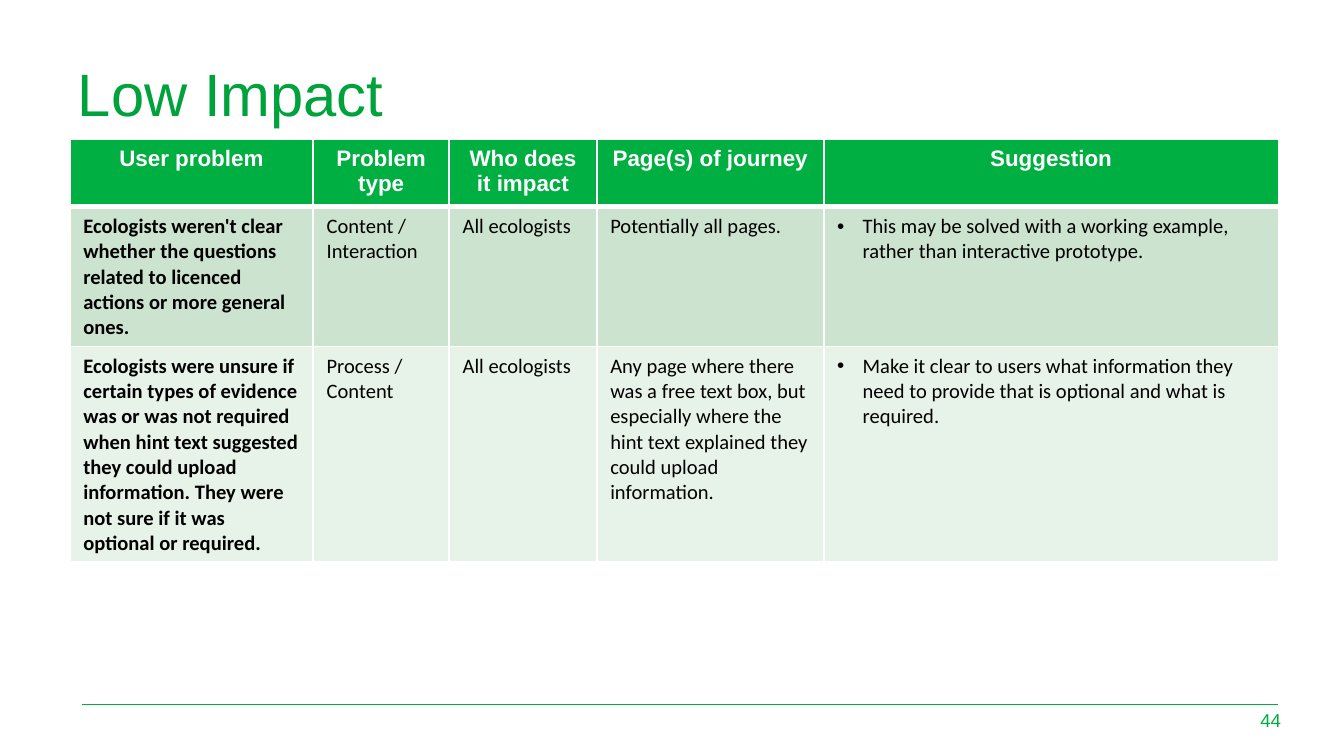
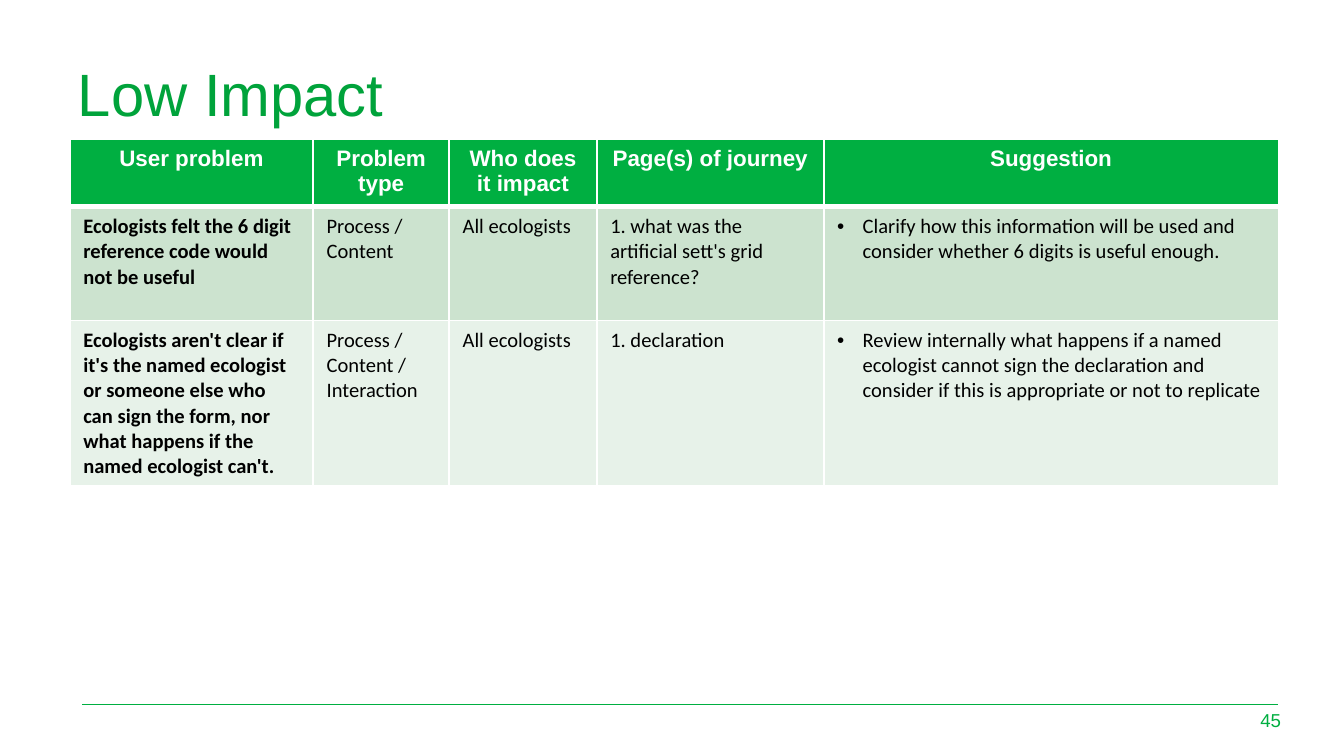
from pptx import Presentation, util as u
from pptx.dml.color import RGBColor
from pptx.enum import shapes, text
from pptx.oxml.ns import qn
from lxml import etree

COLOURS = {
    "title": "00A33B",
    "brand": "00AF41",
    "white": "FFFFFF",
    "body": "000000",
    "band_dark": "CCE3CF",
    "band_light": "E7F2E9",
}
TITLE_BOX = (1.22, 0.97, 22.96, 1.02)
TABLE_BOX = (1.32, 2.64, 22.84)
FOOTER_BOX = (1.55, 13.31, 22.61)
COLUMN_WIDTHS = (4.6, 2.57, 2.79, 4.29, 8.59)
HEADINGS = ("User problem", "Problem type", "Who does it impact", "Page(s) of journey", "Suggestion")
HEADER_HEIGHT = 1.22
SUGGESTION_INDENT = 0.48

SLIDES = [
    {
        "number": 44,
        "row_heights": (2.64, 4.06),
        "rows": [
            ("Ecologists weren't clear whether the questions related to licenced actions "
             "or more general ones.",
             "Content / Interaction", "All ecologists", "Potentially all pages.",
             "This may be solved with a working example, rather than interactive prototype."),
            ("Ecologists were unsure if certain types of evidence was or was not required when "
             "hint text suggested they could upload information. They were not sure if it was "
             "optional or required.",
             "Process / Content", "All ecologists",
             "Any page where there was a free text box, but especially where the hint text "
             "explained they could upload information.",
             "Make it clear to users what information they need to provide that is optional "
             "and what is required."),
        ],
    },
    {
        "number": 45,
        "row_heights": (2.15, 3.13),
        "rows": [
            ("Ecologists felt the 6 digit reference code would not be useful",
             "Process / Content", "All ecologists",
             "1. what was the artificial sett's grid reference?",
             "Clarify how this information will be used and consider whether 6 digits is "
             "useful enough."),
            ("Ecologists aren't clear if it's the named ecologist or someone else who can sign "
             "the form, nor what happens if the named ecologist can't.",
             "Process / Content / Interaction", "All ecologists", "1. declaration",
             "Review internally what happens if a named ecologist cannot sign the declaration "
             "and consider if this is appropriate or not to replicate"),
        ],
    },
]


def colour(name):
    return RGBColor.from_string(COLOURS[name])


def style_text(paragraph, font_name, size, colour_name, bold=False):
    for run in paragraph.runs:
        run.font.name = font_name
        run.font.size = u.Pt(size)
        run.font.bold = bold
        run.font.color.rgb = colour(colour_name)


def add_bullet(paragraph):
    properties = paragraph._p.get_or_add_pPr()
    indent = u.Cm(SUGGESTION_INDENT)
    properties.set("marL", str(indent))
    properties.set("indent", str(-indent))
    bullet_colour = etree.SubElement(properties, qn("a:buClr"))
    etree.SubElement(bullet_colour, qn("a:srgbClr"), val=COLOURS["body"])
    etree.SubElement(properties, qn("a:buFont"), typeface="Arial")
    etree.SubElement(properties, qn("a:buChar"), char="•")


def set_borders(cell, widths):
    """Draw white cell borders; widths are points for left, right, top, bottom."""
    properties = cell._tc.get_or_add_tcPr()
    for side, width in zip("LRTB", widths):
        border = etree.SubElement(properties, qn(f"a:ln{side}"), w=str(u.Pt(width)))
        fill = etree.SubElement(border, qn("a:solidFill"))
        etree.SubElement(fill, qn("a:srgbClr"), val=COLOURS["white"])


def fill_cell(cell, wording, fill_name, border_widths):
    set_borders(cell, border_widths)
    cell.fill.solid()
    cell.fill.fore_color.rgb = colour(fill_name)
    cell.text_frame.text = wording
    return cell.text_frame.paragraphs[0]


def place_title(slide, wording, box):
    title = slide.shapes.title
    title.left, title.top, title.width, title.height = map(u.Cm, box)
    frame = title.text_frame
    frame.text = wording
    frame.auto_size = text.MSO_AUTO_SIZE.NONE
    frame.word_wrap = True
    frame.vertical_anchor = text.MSO_ANCHOR.TOP
    frame.margin_top = u.Cm(0.1)
    paragraph = frame.paragraphs[0]
    paragraph.alignment = text.PP_ALIGN.LEFT
    style_text(paragraph, "Arial", 32, "title")


def add_problem_table(slide, rows, row_heights, box):
    left, top, width = box
    heights = (HEADER_HEIGHT, *row_heights)
    table = slide.shapes.add_table(
        len(heights), len(HEADINGS), u.Cm(left), u.Cm(top), u.Cm(width), u.Cm(sum(heights))
    ).table
    for column, column_width in zip(table.columns, COLUMN_WIDTHS):
        column.width = u.Cm(column_width)
    for row, height in zip(table.rows, heights):
        row.height = u.Cm(height)

    for column_index, heading in enumerate(HEADINGS):
        paragraph = fill_cell(table.cell(0, column_index), heading, "brand", (1, 1, 1, 3))
        paragraph.alignment = text.PP_ALIGN.CENTER
        style_text(paragraph, "Arial", 12, "white", bold=True)

    for row_index, row in enumerate(rows, start=1):
        band = "band_dark" if row_index % 2 else "band_light"
        borders = (1, 1, 3 if row_index == 1 else 1, 1)
        for column_index, wording in enumerate(row):
            paragraph = fill_cell(table.cell(row_index, column_index), wording, band, borders)
            if HEADINGS[column_index] == "Suggestion":
                add_bullet(paragraph)
            style_text(paragraph, "Calibri", 11, "body", bold=column_index == 0)


def add_footer(slide, number, box):
    left, top, width = box
    right = left + width
    rule = slide.shapes.add_connector(
        shapes.MSO_CONNECTOR.STRAIGHT, u.Cm(left), u.Cm(top), u.Cm(right), u.Cm(top)
    )
    rule.line.color.rgb = colour("brand")
    rule.line.width = u.Pt(0.5)
    etree.SubElement(rule._element.spPr, qn("a:effectLst"))

    page_number = slide.shapes.add_textbox(
        u.Cm(right - 0.84), u.Cm(top - 0.08), u.Cm(1.14), u.Cm(0.76)
    )
    frame = page_number.text_frame
    frame.word_wrap = True
    frame.vertical_anchor = text.MSO_ANCHOR.MIDDLE
    frame.text = str(number)
    paragraph = frame.paragraphs[0]
    paragraph.alignment = text.PP_ALIGN.RIGHT
    style_text(paragraph, "Arial", 10, "brand")


def add_problem_slide(presentation, content):
    slide = presentation.slides.add_slide(presentation.slide_layouts.get_by_name("Title Only"))
    add_footer(slide, content["number"], FOOTER_BOX)
    place_title(slide, "Low Impact", TITLE_BOX)
    add_problem_table(slide, content["rows"], content["row_heights"], TABLE_BOX)


def main():
    presentation = Presentation()
    presentation.slide_width = u.Cm(25.4)
    presentation.slide_height = u.Cm(14.29)
    for content in SLIDES:
        add_problem_slide(presentation, content)
    presentation.save("out.pptx")


if __name__ == "__main__":
    main()
